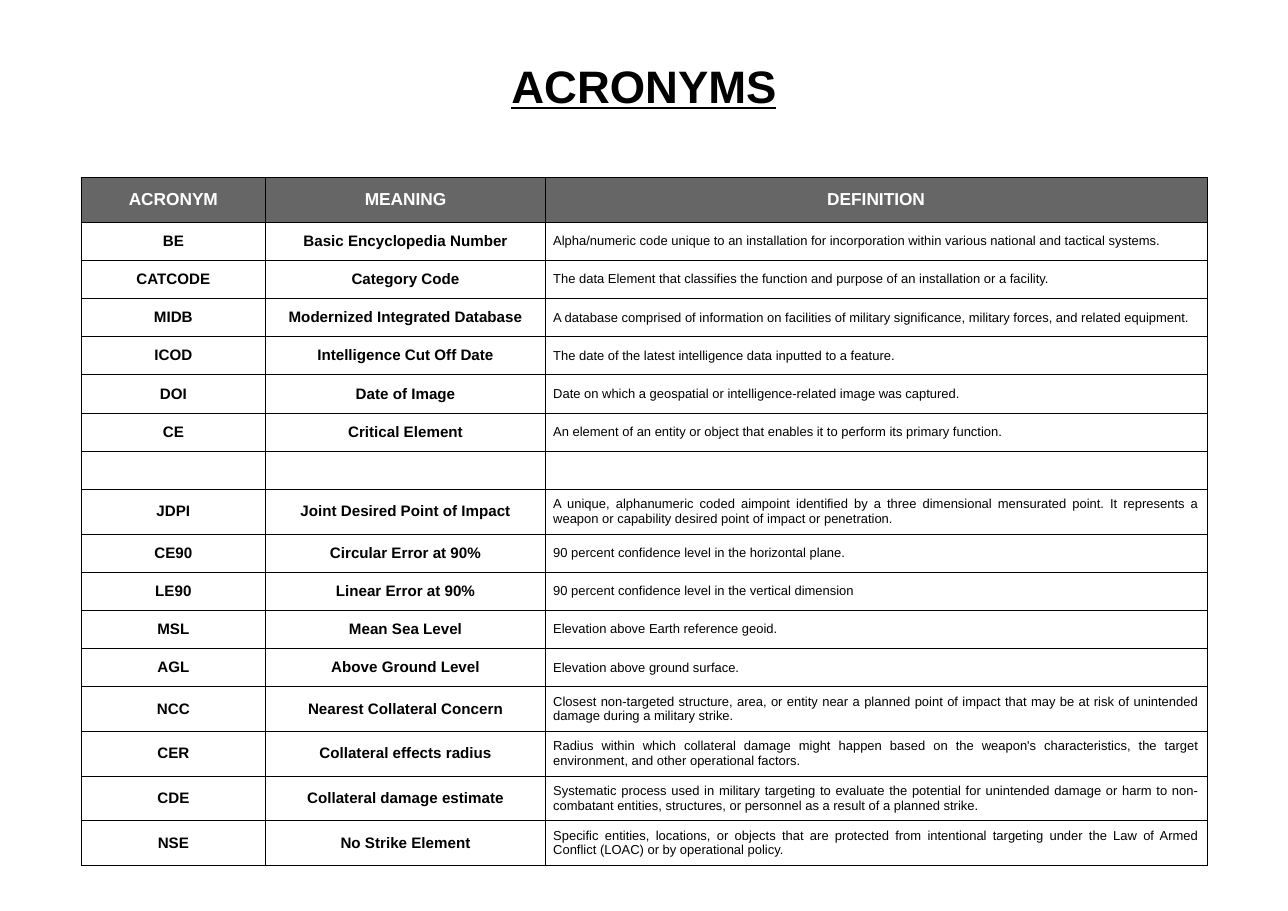
from lxml import etree
from pptx import Presentation
from pptx.dml.color import RGBColor
from pptx.enum.text import MSO_ANCHOR as Anchor, MSO_AUTO_SIZE as AutoSize, PP_ALIGN as Align
from pptx.oxml.ns import qn
from pptx.util import Inches, Pt

COLORS = {"text": "000000", "border": "000000", "header": "666666", "header_text": "FFFFFF"}
FONT = "Arial"
MARGIN = Inches(0.1)
COLUMN_WIDTHS = (2.37, 3.59, 8.49)
HEADER_HEIGHT = 0.57
ROW_HEIGHT = 0.49
HEADINGS = ("ACRONYM", "MEANING", "DEFINITION")
ACRONYMS = [
    ("BE", "Basic Encyclopedia Number",
     "Alpha/numeric code unique to an installation for incorporation within various national "
     "and tactical systems."),
    ("CATCODE", "Category Code",
     "The data Element that classifies the function and purpose of an installation or a facility."),
    ("MIDB", "Modernized Integrated Database",
     "A database comprised of information on facilities of military significance, military "
     "forces, and related equipment."),
    ("ICOD", "Intelligence Cut Off Date",
     "The date of the latest intelligence data inputted to a feature."),
    ("DOI", "Date of Image",
     "Date on which a geospatial or intelligence-related image was captured."),
    ("CE", "Critical Element",
     "An element of an entity or object that enables it to perform its primary function."),
    ("", "", ""),
    ("JDPI", "Joint Desired Point of Impact",
     "A unique, alphanumeric coded aimpoint identified by a three dimensional mensurated point. "
     "It represents a weapon or capability desired point of impact or penetration."),
    ("CE90", "Circular Error at 90%", "90 percent confidence level in the horizontal plane."),
    ("LE90", "Linear Error at 90%", "90 percent confidence level in the vertical dimension"),
    ("MSL", "Mean Sea Level", "Elevation above Earth reference geoid."),
    ("AGL", "Above Ground Level", "Elevation above ground surface."),
    ("NCC", "Nearest Collateral Concern",
     "Closest non-targeted structure, area, or entity near a planned point of impact that may "
     "be at risk of unintended damage during a military strike."),
    ("CER", "Collateral effects radius",
     "Radius within which collateral damage might happen based on the weapon's characteristics, "
     "the target environment, and other operational factors."),
    ("CDE", "Collateral damage estimate",
     "Systematic process used in military targeting to evaluate the potential for unintended "
     "damage or harm to non-combatant entities, structures, or personnel as a result of a "
     "planned strike."),
    ("NSE", "No Strike Element",
     "Specific entities, locations, or objects that are protected from intentional targeting "
     "under the Law of Armed Conflict (LOAC) or by operational policy."),
]


def write_text(frame, text, size, color="text", bold=True, underline=False, align=Align.CENTER):
    para = frame.paragraphs[0]
    para.alignment = align
    span = para.add_run()
    span.text = text
    span.font.name = FONT
    span.font.size = Pt(size)
    span.font.bold = bold
    span.font.underline = underline
    span.font.color.rgb = RGBColor.from_string(COLORS[color])


def set_margins(holder):
    """Give a cell or a text frame equal margins and centre it vertically."""
    holder.margin_left = holder.margin_right = MARGIN
    holder.margin_top = holder.margin_bottom = MARGIN
    holder.vertical_anchor = Anchor.MIDDLE


def add_borders(cell):
    properties = cell._tc.get_or_add_tcPr()
    for side in ("lnL", "lnR", "lnT", "lnB"):
        line = etree.SubElement(properties, qn(f"a:{side}"), w=str(Pt(0.75)))
        fill = etree.SubElement(line, qn("a:solidFill"))
        etree.SubElement(fill, qn("a:srgbClr"), val=COLORS["border"])


def format_cell(cell, text, fill=None, **text_format):
    add_borders(cell)
    if fill:
        cell.fill.solid()
        cell.fill.fore_color.rgb = RGBColor.from_string(COLORS[fill])
    else:
        cell.fill.background()
    if text:
        set_margins(cell)
        write_text(cell.text_frame, text, **text_format)


def add_title(page, text):
    title = page.shapes.title
    title.left, title.top = Inches(0), Inches(0.06)
    title.width, title.height = Inches(16.53), Inches(2.06)
    frame = title.text_frame
    frame.auto_size = AutoSize.NONE
    frame.word_wrap = True
    set_margins(frame)
    write_text(frame, text, size=42, underline=True)


def add_acronym_table(page):
    height = HEADER_HEIGHT + ROW_HEIGHT * len(ACRONYMS)
    table = page.shapes.add_table(
        len(ACRONYMS) + 1, len(HEADINGS), Inches(1.04), Inches(2.28),
        Inches(sum(COLUMN_WIDTHS)), Inches(height)).table
    table.first_row = table.horz_banding = False
    for column, width in zip(table.columns, COLUMN_WIDTHS):
        column.width = Inches(width)
    for row in table.rows:
        row.height = Inches(ROW_HEIGHT)
    table.rows[0].height = Inches(HEADER_HEIGHT)

    for column, heading in enumerate(HEADINGS):
        format_cell(table.cell(0, column), heading, fill="header", size=16, color="header_text")
    for row, (acronym, meaning, definition) in enumerate(ACRONYMS, start=1):
        format_cell(table.cell(row, 0), acronym, size=14)
        format_cell(table.cell(row, 1), meaning, size=14)
        format_cell(table.cell(row, 2), definition, size=12, bold=False, align=Align.JUSTIFY)


def main():
    deck = Presentation()
    deck.slide_width, deck.slide_height = Inches(16.53), Inches(11.69)
    page = deck.slides.add_slide(deck.slide_layouts.get_by_name("Title Only"))
    add_title(page, "ACRONYMS")
    add_acronym_table(page)
    deck.save("out.pptx")


if __name__ == "__main__":
    main()
